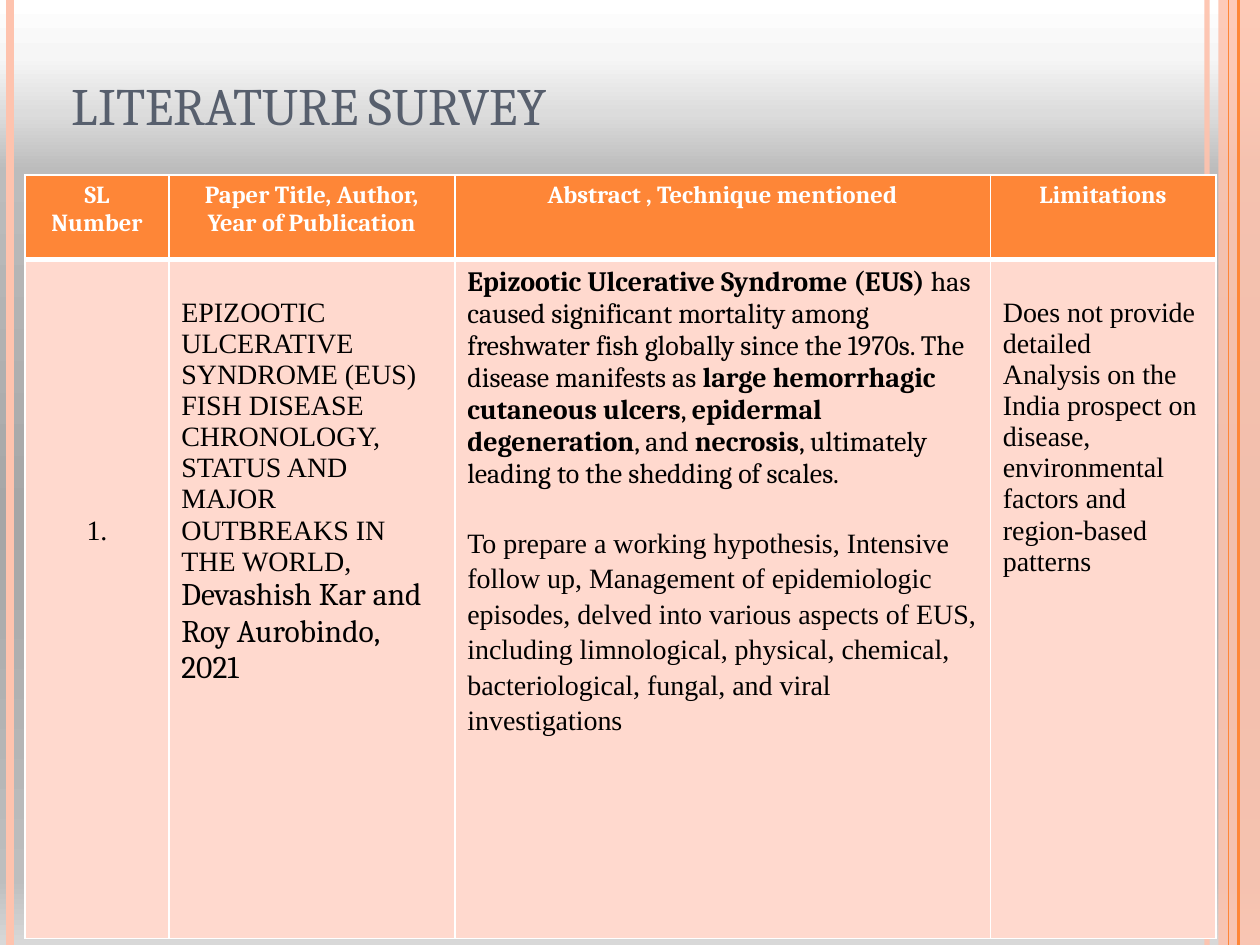
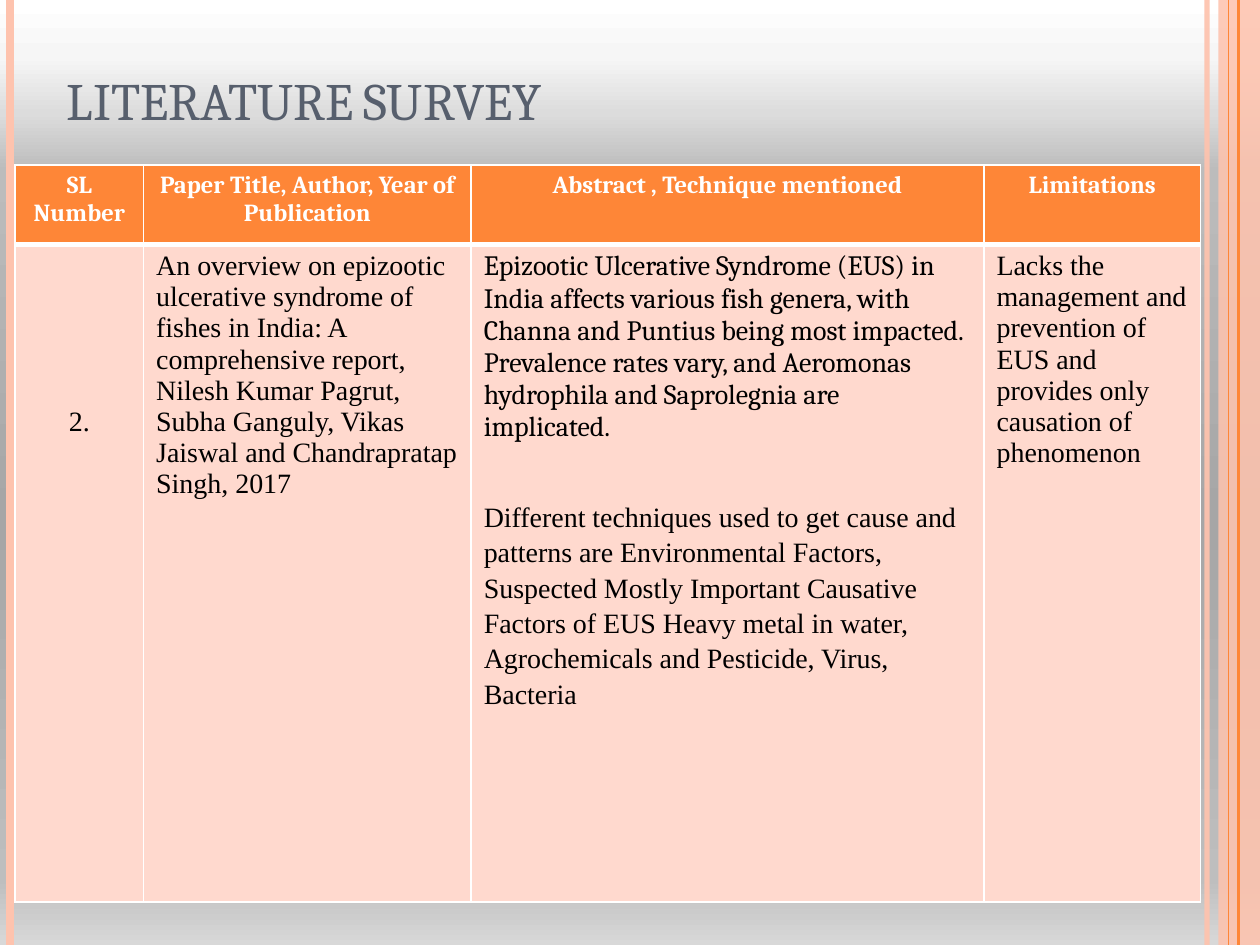
from dataclasses import dataclass, field
from typing import Any

from lxml.etree import SubElement
from pptx import Presentation
from pptx.dml.color import RGBColor as Rgb
from pptx.enum.shapes import MSO_CONNECTOR as Connector, MSO_SHAPE as Shape
from pptx.enum.text import MSO_ANCHOR as Anchor, MSO_AUTO_SIZE as AutoSize, PP_ALIGN as Align
from pptx.oxml.ns import qn
from pptx.util import Pt

EMU_PER_PX = 9144
SLIDE_W, SLIDE_H = 1000, 750
TITLE_ONLY = 5


@dataclass(frozen=True)
class Theme:
    orange: str = "FE8637"
    peach: str = "FEC3AE"
    body_fill: str = "FFD9CE"
    title: str = "575F6D"
    white: str = "FFFFFF"
    black: str = "000000"
    serif: str = "Cambria"
    roman: str = "Times New Roman"
    title_size: int = 30
    header_size: int = 14
    body_size: int = 16
    author_size: int = 18
    backdrop: tuple[tuple[int, str], ...] = (
        (0, "FFFFFF"), (6, "F6F6F6"), (12, "DCDCDC"), (18, "BCBCBC"),
        (55, "A6A6A6"), (93, "BEBEBE"), (100, "D8D8D8"))


THEME = Theme()


@dataclass(frozen=True)
class Run:
    text: str
    font: str = THEME.roman
    size: int = THEME.body_size
    bold: bool = False
    color: str = THEME.black


@dataclass(frozen=True)
class Para:
    runs: tuple[Run, ...]
    style: dict[str, Any] = field(default_factory=dict)


@dataclass(frozen=True)
class Cell:
    paras: tuple[Para, ...]
    top: int = 5


@dataclass(frozen=True)
class Stripe:
    x: int
    width: float
    color: str
    opacity: int = 100


@dataclass(frozen=True)
class Survey:
    title_box: tuple[int, int, int, int]
    table_at: tuple[int, int]
    cols: tuple[int, ...]
    rows: tuple[int, ...]
    entry: tuple[Cell, ...]


STRIPES = (
    Stripe(958, 3, THEME.peach, 93),
    Stripe(8, 4.5, THEME.peach),
    Stripe(983, 1.5, THEME.orange),
    Stripe(975, 0.75, THEME.orange),
)
HEADINGS = ("SL Number", "Paper Title, Author, Year of Publication",
            "Abstract , Technique mentioned", "Limitations")
CENTERED = {"alignment": Align.CENTER}


def px(n: int) -> int:
    return n * EMU_PER_PX


def apply(target: Any, values: dict[str, Any]) -> None:
    for name, value in values.items():
        setattr(target, name, value)


def plain(*texts: str, top: int = 5, **style: Any) -> Cell:
    return Cell(tuple(Para((Run(t),), style) for t in texts), top)


def technique(text: str, gap: int) -> Para:
    return Para((Run(text),), {"line_spacing": 1.14, "space_before": Pt(gap), "space_after": Pt(10)})


def abstract(*texts: str) -> Para:
    return Para(tuple(Run(t, THEME.serif, bold=i % 2 == 0) for i, t in enumerate(texts)))


def set_opacity(fill: Any, percent: int) -> None:
    color = fill._xPr.find(qn("a:solidFill"))[0]
    SubElement(color, qn("a:alpha"), val=str(percent * 1000))


def set_backdrop(master: Any) -> None:
    fill = master.background.fill
    fill.gradient()
    fill.gradient_angle = 270
    stops = fill._xPr.find(qn("a:gradFill")).find(qn("a:gsLst"))
    for old in list(stops):
        stops.remove(old)
    for percent, color in THEME.backdrop:
        stop = SubElement(stops, qn("a:gs"), pos=str(percent * 1000))
        SubElement(stop, qn("a:srgbClr"), val=color)


def add_stripe(s: Any, stripe: Stripe) -> None:
    x = px(stripe.x)
    line = s.shapes.add_connector(Connector.STRAIGHT, x, 0, x, px(SLIDE_H))
    line.line.width = Pt(stripe.width)
    line.line.fill.solid()
    line.line.color.rgb = Rgb.from_string(stripe.color)
    if stripe.opacity < 100:
        set_opacity(line.line.fill, stripe.opacity)
    SubElement(line._element.spPr, qn("a:effectLst"))


def add_frame(s: Any) -> None:
    band = s.shapes.add_shape(Shape.RECTANGLE, px(967), 0, px(33), px(SLIDE_H))
    band.shadow.inherit = False
    band.fill.solid()
    band.fill.fore_color.rgb = Rgb.from_string(THEME.peach)
    set_opacity(band.fill, 87)
    band.line.fill.background()
    for stripe in STRIPES:
        add_stripe(s, stripe)


def write(tf: Any, paras: tuple[Para, ...]) -> None:
    tf.word_wrap = True
    for i, para in enumerate(paras):
        p = tf.add_paragraph() if i else tf.paragraphs[0]
        apply(p, para.style)
        for run in para.runs:
            r = p.add_run()
            r.text = run.text
            apply(r.font, {"name": run.font, "size": Pt(run.size), "bold": run.bold})
            r.font.color.rgb = Rgb.from_string(run.color)


def add_title(s: Any, box: tuple[int, int, int, int]) -> None:
    sp = s.shapes.title
    apply(sp, dict(zip(("left", "top", "width", "height"), map(px, box))))
    tf = sp.text_frame
    run = Run("LITERATURE SURVEY", THEME.serif, THEME.title_size, color=THEME.title)
    write(tf, (Para((run,), {"alignment": Align.LEFT}),))
    apply(tf, {"vertical_anchor": Anchor.BOTTOM, "auto_size": AutoSize.NONE})
    tf.paragraphs[0].runs[0].font._element.set("cap", "small")


def style_cell(cell: Any, fill: str, borders: dict[str, int]) -> None:
    tc_pr = cell._tc.get_or_add_tcPr()
    for side, width in borders.items():
        ln = SubElement(tc_pr, qn(f"a:ln{side}"), w=str(Pt(width)))
        SubElement(SubElement(ln, qn("a:solidFill")), qn("a:srgbClr"), val=THEME.white)
    cell.fill.solid()
    cell.fill.fore_color.rgb = Rgb.from_string(fill)


def add_survey_table(s: Any, survey: Survey) -> None:
    x, y = survey.table_at
    frame = s.shapes.add_table(2, len(survey.cols), px(x), px(y),
                               px(sum(survey.cols)), px(sum(survey.rows)))
    table = frame.table
    for col, width in zip(table.columns, survey.cols):
        col.width = px(width)
    for row, height in zip(table.rows, survey.rows):
        row.height = px(height)
    header = tuple(
        Cell((Para((Run(h, THEME.serif, THEME.header_size, True, THEME.white),), CENTERED),))
        for h in HEADINGS)
    looks = ((header, THEME.orange, {"L": 1, "R": 1, "T": 1, "B": 3}),
             (survey.entry, THEME.body_fill, {"L": 1, "R": 1, "T": 3, "B": 1}))
    for r, (cells, fill, borders) in enumerate(looks):
        for c, content in enumerate(cells):
            cell = table.cell(r, c)
            style_cell(cell, fill, borders)
            cell.margin_top = px(content.top)
            write(cell.text_frame, content.paras)


SURVEYS = (
    Survey(
        (47, 30, 820, 83), (20, 139), (114, 227, 425, 179), (67, 539),
        (
            plain("1.", top=203, **CENTERED),
            Cell((Para((
                Run("EPIZOOTIC ULCERATIVE SYNDROME (EUS) FISH DISEASE CHRONOLOGY, "
                    "STATUS AND MAJOR OUTBREAKS IN THE WORLD, "),
                Run("Devashish Kar and Roy Aurobindo, 2021", THEME.serif, THEME.author_size),
            )),), top=30),
            Cell((
                abstract(
                    "Epizootic Ulcerative Syndrome (EUS)",
                    " has caused significant mortality among freshwater fish globally "
                    "since the 1970s. The disease manifests as ",
                    "large hemorrhagic cutaneous ulcers", ", ",
                    "epidermal degeneration", ", and ",
                    "necrosis", ", ultimately leading to the shedding of scales."),
                technique(
                    "To prepare a working hypothesis, Intensive follow up, Management of "
                    "epidemiologic episodes, delved into various aspects of EUS, including "
                    "limnological, physical, chemical, bacteriological, fungal, and viral "
                    "investigations", gap=19),
            )),
            plain("Does not provide detailed",
                  "Analysis on the India prospect on disease, environmental factors and "
                  "region-based patterns", top=30),
        ),
    ),
    Survey(
        (43, 36, 813, 73), (12, 131), (102, 260, 407, 172), (63, 522),
        (
            plain("2.", top=129, **CENTERED),
            plain("An overview on epizootic ulcerative syndrome of",
                  "fishes in India: A comprehensive report,",
                  "Nilesh Kumar Pagrut, Subha Ganguly, Vikas Jaiswal and Chandrapratap",
                  "Singh, 2017"),
            Cell((
                Para((Run(
                    "Epizootic Ulcerative Syndrome (EUS) in India affects various fish genera, "
                    "with Channa and Puntius being most impacted. Prevalence rates vary, and "
                    "Aeromonas hydrophila and Saprolegnia are implicated.", THEME.serif),)),
                technique(
                    "Different techniques used to get cause and patterns are Environmental "
                    "Factors, Suspected Mostly Important Causative Factors of EUS Heavy metal "
                    "in water, Agrochemicals and Pesticide, Virus, Bacteria", gap=31),
            )),
            plain("Lacks the management and prevention of EUS and provides only causation "
                  "of phenomenon"),
        ),
    ),
)


def main() -> None:
    prs = Presentation()
    apply(prs, {"slide_width": px(SLIDE_W), "slide_height": px(SLIDE_H)})
    set_backdrop(prs.slide_master)
    for survey in SURVEYS:
        s = prs.slides.add_slide(prs.slide_layouts[TITLE_ONLY])
        add_frame(s)
        add_title(s, survey.title_box)
        add_survey_table(s, survey)
    prs.save("out.pptx")


if __name__ == "__main__":
    main()
